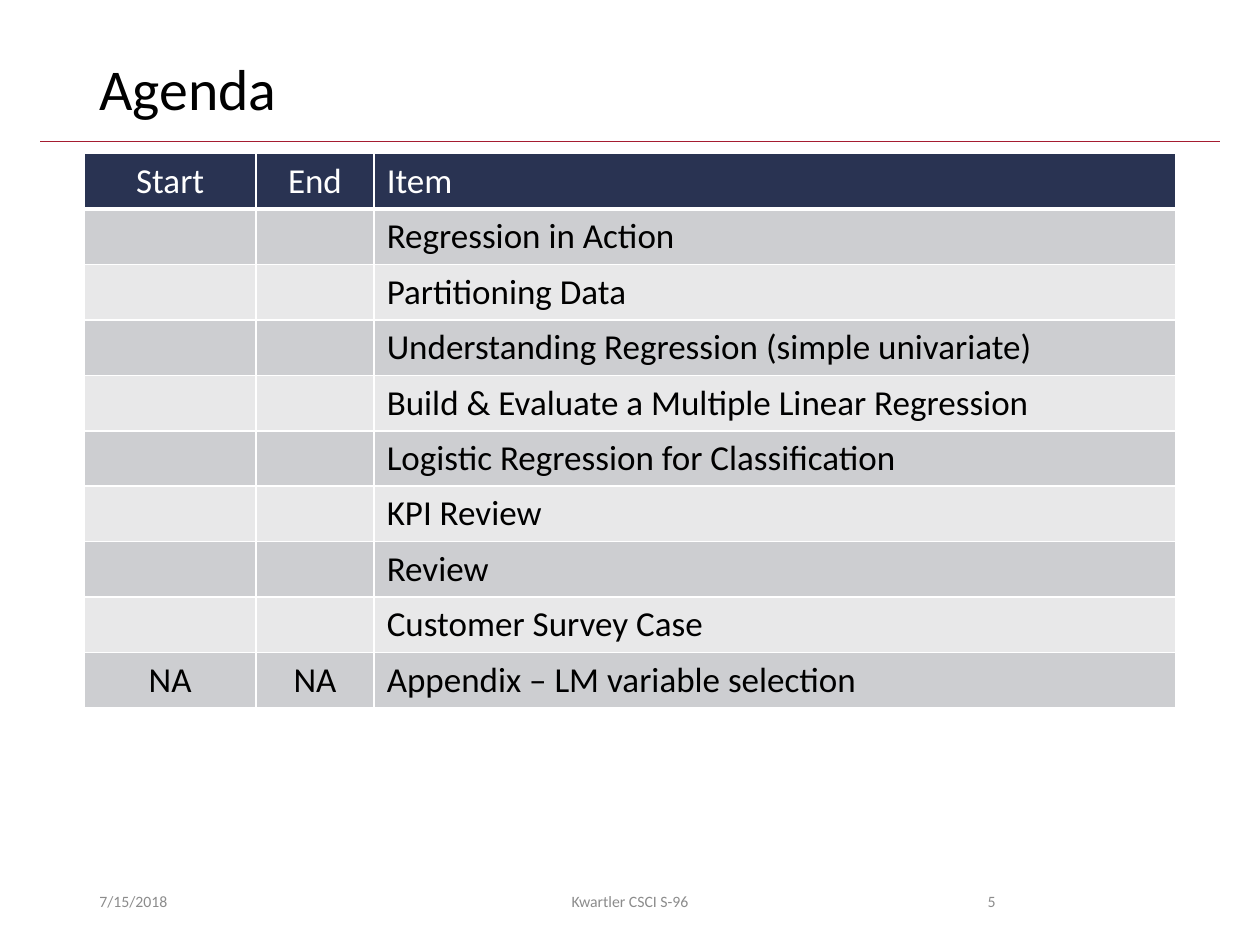
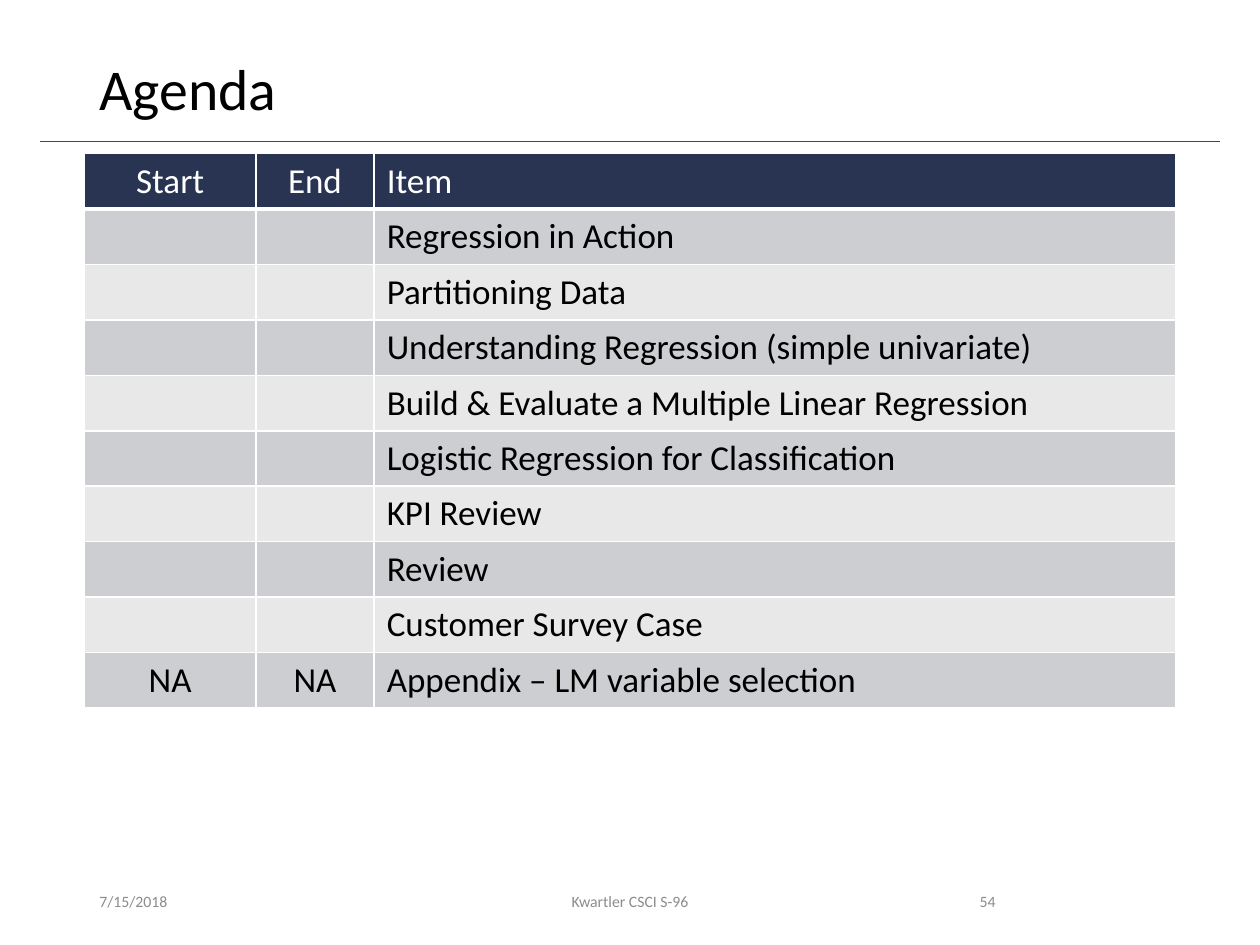
import dataclasses

import lxml.etree
import pptx
import pptx.dml.color
import pptx.enum.shapes
import pptx.enum.text
import pptx.oxml.ns
import pptx.util

Inches = pptx.util.Inches
Align = pptx.enum.text.PP_ALIGN
Anchor = pptx.enum.text.MSO_ANCHOR


@dataclasses.dataclass(frozen=True)
class Theme:
    """Colours and type sizes shared by the slides."""
    font: str = "Calibri"
    ink: str = "000000"
    paper: str = "FFFFFF"
    rule: str = "A51C30"
    header: str = "293352"
    bands: tuple = ("CDCED1", "E8E8E9")
    muted: str = "8C8C8C"
    title_size: int = 33
    table_size: int = 20
    footer_size: int = 9
    thin: float = 1
    thick: float = 3
    rule_width: float = 0.5


THEME = Theme()
COLUMNS = (1.36, 0.94, 6.36)
ALIGNMENTS = (Align.CENTER, Align.CENTER, Align.LEFT)
ROW_HEIGHT = 0.44
AGENDA = (
    ("Start", "End", "Item"),
    ("", "", "Regression in Action"),
    ("", "", "Partitioning Data"),
    ("", "", "Understanding Regression (simple univariate)"),
    ("", "", "Build & Evaluate a Multiple Linear Regression"),
    ("", "", "Logistic Regression for Classification"),
    ("", "", "KPI Review"),
    ("", "", "Review"),
    ("", "", "Customer Survey Case"),
    ("NA", "NA", "Appendix – LM variable selection"),
)
SLIDE_NUMBERS = (5, 54)


def rgb(value):
    """Return a colour object for a hex string."""
    return pptx.dml.color.RGBColor.from_string(value)


def write(frame, text, size, color, align=Align.LEFT):
    """Put one formatted paragraph in a text frame and return it."""
    frame.text = text
    paragraph = frame.paragraphs[0]
    paragraph.alignment = align
    for run in paragraph.runs:
        run.font.name = THEME.font
        run.font.size = pptx.util.Pt(size)
        run.font.bold = False
        run.font.color.rgb = rgb(color)
    return paragraph


def add_text(slide, box, text, size, color, align=Align.LEFT):
    """Add a wrapped, vertically centred text box and return its paragraph."""
    frame = slide.shapes.add_textbox(*map(Inches, box)).text_frame
    frame.word_wrap = True
    frame.vertical_anchor = Anchor.MIDDLE
    return write(frame, text, size, color, align)


def add_heading(slide, box, title):
    """Add the title and the rule that closes the heading region."""
    left, top, width, height = box
    bottom = top + height
    rule = slide.shapes.add_connector(
        pptx.enum.shapes.MSO_CONNECTOR.STRAIGHT,
        Inches(left), Inches(bottom), Inches(left + width), Inches(bottom))
    rule.line.color.rgb = rgb(THEME.rule)
    rule.line.width = pptx.util.Pt(THEME.rule_width)
    lxml.etree.SubElement(rule.element.spPr, pptx.oxml.ns.qn("a:effectLst"))
    title_box = (left + 0.37, top, width - 0.74, height - 0.07)
    heading = add_text(slide, title_box, title, THEME.title_size, THEME.ink)
    heading.line_spacing = 0.9


def set_borders(cell, bottom_width):
    """Draw the four borders of a cell in the paper colour."""
    qn = pptx.oxml.ns.qn
    properties = cell._tc.get_or_add_tcPr()
    for side in "LRTB":
        points = bottom_width if side == "B" else THEME.thin
        line = lxml.etree.SubElement(
            properties, qn(f"a:ln{side}"), w=str(pptx.util.Pt(points)))
        fill = lxml.etree.SubElement(line, qn("a:solidFill"))
        lxml.etree.SubElement(fill, qn("a:srgbClr"), val=THEME.paper)


def add_agenda(slide, left, top):
    """Add the banded agenda table at a corner."""
    table = slide.shapes.add_table(
        len(AGENDA), len(COLUMNS), Inches(left), Inches(top),
        Inches(sum(COLUMNS)), Inches(ROW_HEIGHT * len(AGENDA))).table
    table.first_row = table.horz_banding = False
    for column, width in zip(table.columns, COLUMNS):
        column.width = Inches(width)
    for index, entries in enumerate(AGENDA):
        is_header = index == 0
        table.rows[index].height = Inches(ROW_HEIGHT)
        background = THEME.header if is_header else THEME.bands[(index - 1) % 2]
        color = THEME.paper if is_header else THEME.ink
        for cell, entry, align in zip(table.rows[index].cells, entries, ALIGNMENTS):
            set_borders(cell, THEME.thick if is_header else THEME.thin)
            cell.fill.solid()
            cell.fill.fore_color.rgb = rgb(background)
            write(cell.text_frame, entry, THEME.table_size, color, align)


def add_footer(slide, box, number):
    """Add the date, course and slide number along the footer."""
    left, top, _, height = box
    parts = (
        (0, 2.25, "7/15/2018", Align.LEFT),
        (2.62, 3.38, "Kwartler CSCI S-96", Align.CENTER),
        (6.37, 0.94, str(number), Align.RIGHT),
    )
    for offset, width, text, align in parts:
        add_text(slide, (left + offset, top, width, height), text,
                 THEME.footer_size, THEME.muted, align)


def add_agenda_slide(deck, number):
    """Add one agenda slide."""
    slide = deck.slides.add_slide(deck.slide_layouts[6])
    slide.background.fill.solid()
    slide.background.fill.fore_color.rgb = rgb(THEME.paper)
    add_heading(slide, (0.32, 0.4, 9.36, 0.72), "Agenda")
    add_agenda(slide, 0.67, 1.22)
    add_footer(slide, (0.69, 6.95, 7.31, 0.4), number)


def main():
    """Build and save the deck."""
    deck = pptx.Presentation()
    deck.slide_width, deck.slide_height = Inches(10), Inches(7.5)
    for number in SLIDE_NUMBERS:
        add_agenda_slide(deck, number)
    deck.save("out.pptx")


if __name__ == "__main__":
    main()
